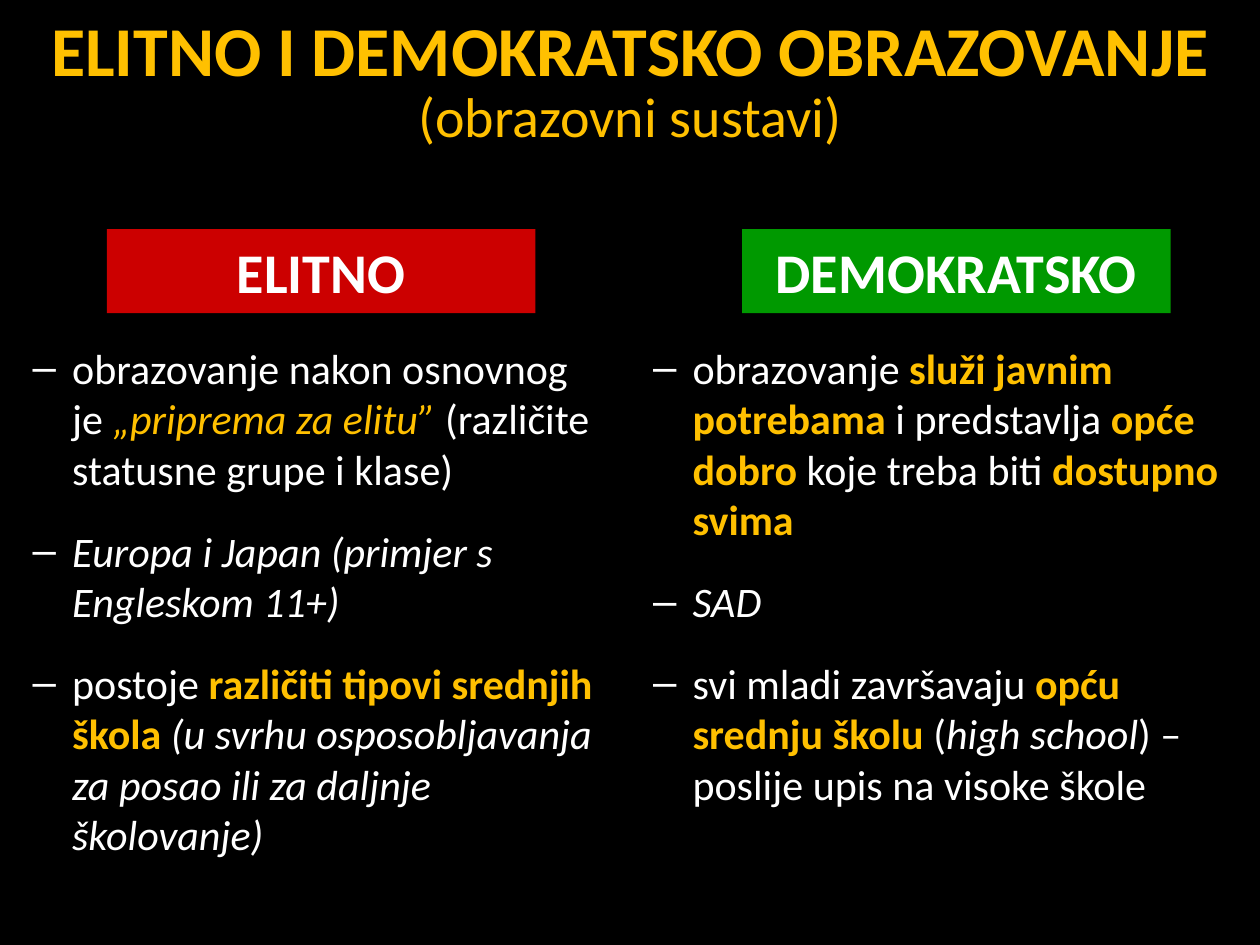
from dataclasses import dataclass

from lxml.etree import SubElement
from pptx import Presentation
from pptx.dml.color import RGBColor
from pptx.enum.shapes import MSO_SHAPE
from pptx.enum.text import MSO_ANCHOR, MSO_AUTO_SIZE, PP_ALIGN
from pptx.oxml.ns import qn
from pptx.util import Pt

COLORS = {
    "background": "000000",
    "text": "FFFFFF",
    "accent": "FFC000",
    "elite": "CC0000",
    "democratic": "009900",
}
FONT = "Calibri"
HEADING_TOP, HEADING_WIDTH, HEADING_HEIGHT = 131, 245, 48
LIST_TOP, LIST_INDENT = 192, 22.5


@dataclass
class Span:
    text: str
    color: str = "text"
    bold: bool = False
    italic: bool = False


@dataclass
class Column:
    heading: str
    fill: str
    heading_left: float
    list_left: float
    list_width: float
    list_height: float
    points: list[list[Span]]


def key(text: str) -> Span:
    return Span(text, "accent", bold=True)


def rgb(name: str) -> RGBColor:
    return RGBColor.from_string(COLORS[name])


def set_font(font, size: float, color: str, bold: bool) -> None:
    font.name = FONT
    font.size = Pt(size)
    font.bold = bold
    font.color.rgb = rgb(color)


def place(shape, left: float, top: float, width: float, height: float) -> None:
    shape.left, shape.top = Pt(left), Pt(top)
    shape.width, shape.height = Pt(width), Pt(height)


def add_heading(slide, column: Column) -> None:
    box = slide.shapes.add_shape(
        MSO_SHAPE.RECTANGLE, Pt(column.heading_left), Pt(HEADING_TOP),
        Pt(HEADING_WIDTH), Pt(HEADING_HEIGHT))
    box.shadow.inherit = False
    box.fill.solid()
    box.fill.fore_color.rgb = rgb(column.fill)
    box.line.fill.background()
    box.text_frame.vertical_anchor = MSO_ANCHOR.MIDDLE
    heading = box.text_frame.paragraphs[0]
    heading.text = column.heading
    heading.alignment = PP_ALIGN.CENTER
    set_font(heading.font, 32, "text", True)


def set_dash(paragraph) -> None:
    properties = paragraph._p.get_or_add_pPr()
    properties.set("marL", str(Pt(LIST_INDENT)))
    properties.set("indent", str(-Pt(LIST_INDENT)))
    bullet_color = SubElement(properties, qn("a:buClr"))
    SubElement(bullet_color, qn("a:srgbClr"), val=COLORS["text"])
    SubElement(properties, qn("a:buChar"), char="–")


def fill_list(body, column: Column) -> None:
    frame = body.text_frame
    frame.word_wrap = True
    frame.auto_size = MSO_AUTO_SIZE.SHAPE_TO_FIT_TEXT
    place(body, column.list_left, LIST_TOP, column.list_width, column.list_height)
    for index, spans in enumerate(column.points):
        point = frame.add_paragraph() if index else frame.paragraphs[0]
        point.level = 1
        set_dash(point)
        point.space_before = Pt(18 if index else 0)
        point.font.name = FONT
        point.font.size = Pt(24)
        for span in spans:
            run = point.add_run()
            run.text = span.text
            run.font.bold = span.bold
            run.font.italic = span.italic
            run.font.color.rgb = rgb(span.color)


def fill_title(title) -> None:
    place(title, 0, 26, 720, 52)
    frame = title.text_frame
    frame.auto_size = MSO_AUTO_SIZE.NONE
    frame.vertical_anchor = MSO_ANCHOR.MIDDLE
    topic = frame.paragraphs[0]
    topic.alignment = PP_ALIGN.CENTER
    topic.line_spacing = Pt(33)
    for text, size, bold in (("ELITNO I DEMOKRATSKO OBRAZOVANJE ", 40, True),
                             ("(obrazovni sustavi)", 32, False)):
        run = topic.add_run()
        run.text = text
        set_font(run.font, size, "accent", bold)


COLUMNS = [
    Column("ELITNO", "elite", 61, 11.5, 343, 305, [
        [Span("obrazovanje nakon osnovnog je "),
         Span("„priprema za elitu” ", "accent", italic=True),
         Span("(različite statusne grupe i klase)")],
        [Span("Europa i Japan (primjer s Engleskom 11+)", italic=True)],
        [Span("postoje "), key("različiti tipovi srednjih škola "),
         Span("(u svrhu osposobljavanja za posao ili za daljnje školovanje)",
              italic=True)],
    ]),
    Column("DEMOKRATSKO", "democratic", 424, 366, 345.5, 276.5, [
        [Span("obrazovanje "), key("služi javnim potrebama "),
         Span("i predstavlja "), key("opće dobro "),
         Span("koje treba biti "), key("dostupno svima")],
        [Span("SAD", italic=True)],
        [Span("svi mladi završavaju "), key("opću srednju školu "), Span("("),
         Span("high school", italic=True),
         Span(") – poslije upis na visoke škole")],
    ]),
]


def main() -> None:
    deck = Presentation()
    deck.slide_width, deck.slide_height = Pt(720), Pt(540)

    # Slide with a title and two lists
    slide = deck.slides.add_slide(deck.slide_layouts.get_by_name("Two Content"))
    slide.background.fill.solid()
    slide.background.fill.fore_color.rgb = rgb("background")
    fill_title(slide.shapes.title)

    # The two kinds of education, side by side
    for column, placeholder_index in zip(COLUMNS, (1, 2)):
        add_heading(slide, column)
        fill_list(slide.placeholders[placeholder_index], column)

    deck.save("out.pptx")


if __name__ == "__main__":
    main()
